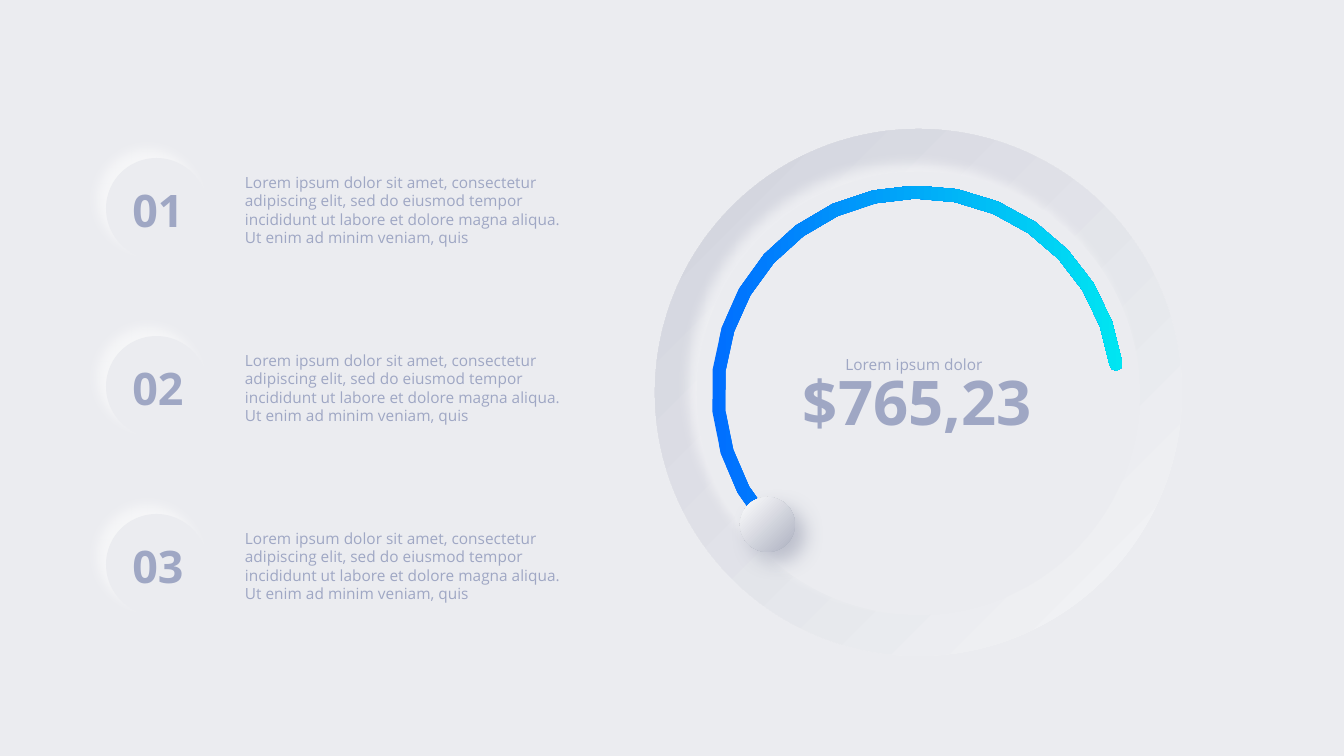
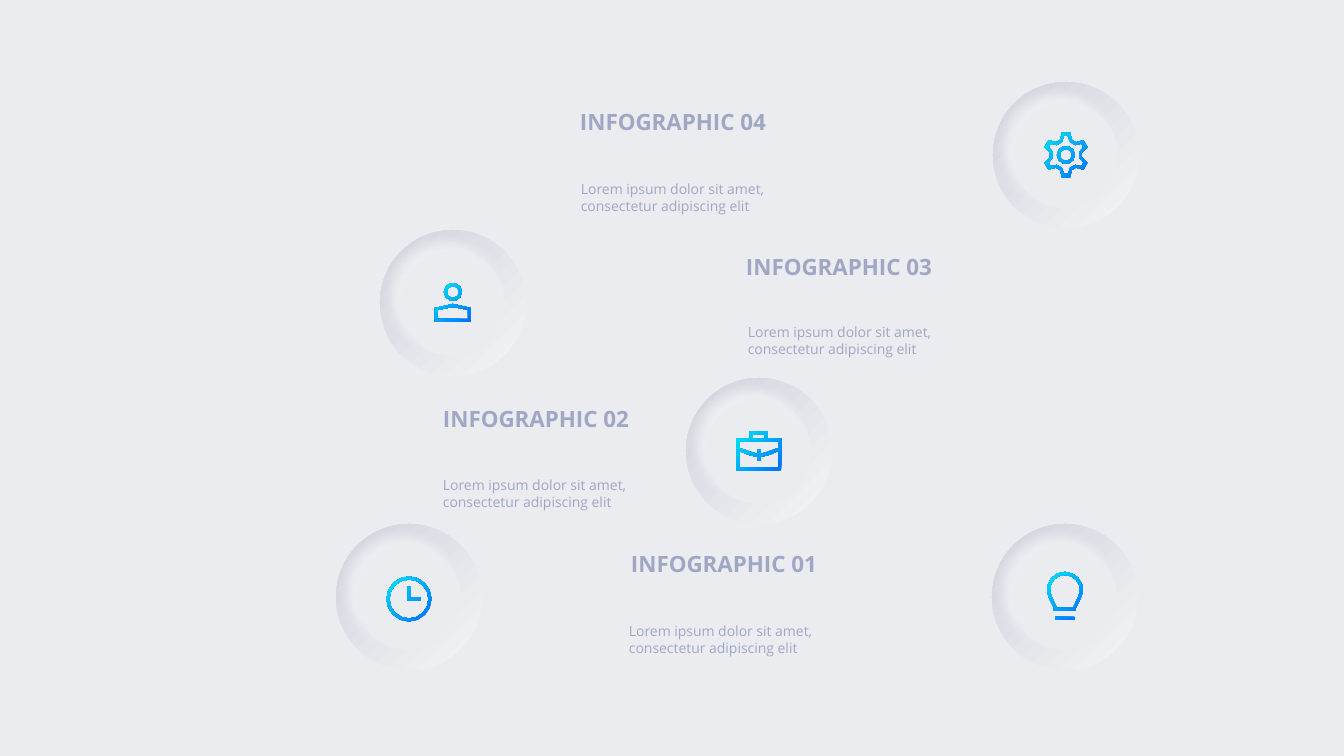
from math import cos, radians, sin

from lxml import etree
from pptx import Presentation
from pptx.dml.color import RGBColor
from pptx.enum.shapes import MSO_SHAPE
from pptx.enum.text import MSO_AUTO_SIZE, PP_ALIGN
from pptx.oxml.ns import qn
from pptx.util import Pt

WIDTH, HEIGHT = 1344, 756
SCALE = 12192000 / WIDTH  # EMU in one px
FINE = 100  # freeform steps in one px

COLORS = {
    "ground": "EBECF0",
    "text": "9FA7C4",
    "light": "F4F5F7",
    "dark": "D0D2DC",
    "white": "FFFFFF",
    "steel": "ACB0C0",
    "blue": "006EFF",
    "cyan": "00E6F2",
}
# Shadow values: colour, opacity in percent, blur and distance in points, direction
GLOW = ("white", 56, 9, 9, 225)
DROP = ("steel", 72, 14, 10, 45)

FORMATS = {
    "amount": {"size": Pt(44), "bold": True},
    "number": {"size": Pt(32), "bold": True},
    "heading": {"size": Pt(16), "bold": True},
    "body": {"size": Pt(11), "bold": False},
    "small": {"size": Pt(10), "bold": False},
}

LONG_TEXT = (
    "Lorem ipsum dolor sit amet, consectetur adipiscing elit, sed do eiusmod tempor "
    "incididunt ut labore et dolore magna aliqua. Ut enim ad minim veniam, quis"
)
SHORT_TEXT = "Lorem ipsum dolor sit amet, consectetur adipiscing elit"


def px(value):
    return round(value * SCALE)


def color(name):
    return RGBColor.from_string(COLORS[name])


# ---- Fills, shadows, basic parts ----
def paint(shape, fill, angle=0):
    """Fill with one colour, or with a gradient between two."""
    shape.line.fill.background()
    shape.shadow.inherit = False
    if isinstance(fill, str):
        shape.fill.solid()
        shape.fill.fore_color.rgb = color(fill)
        return
    shape.fill.gradient()
    shape.fill.gradient_angle = angle
    for stop, name, position in zip(shape.fill.gradient_stops, fill, (0, 1)):
        stop.color.rgb = color(name)
        stop.position = position


def cast_shadow(shape, shadow):
    name, opacity, blur, distance, direction = shadow
    effects = shape._element.spPr.find(qn("a:effectLst"))
    outer = etree.SubElement(
        effects, qn("a:outerShdw"), blurRad=str(Pt(blur)), dist=str(Pt(distance)),
        dir=str(direction * 60000), algn="ctr", rotWithShape="0")
    tone = etree.SubElement(outer, qn("a:srgbClr"), val=COLORS[name])
    etree.SubElement(tone, qn("a:alpha"), val=str(opacity * 1000))


def make_radial(shape):
    """Turn a linear gradient into a circular one that starts at the top left."""
    gradient = shape._element.spPr.find(qn("a:gradFill"))
    gradient.remove(gradient.find(qn("a:lin")))
    circle = etree.SubElement(gradient, qn("a:path"), path="circle")
    etree.SubElement(circle, qn("a:fillToRect"), r="100000", b="100000")


def add_disc(page, left, top, size, fill, angle=0, shadow=None):
    disc = page.shapes.add_shape(
        MSO_SHAPE.OVAL, px(left), px(top), px(size), px(size))
    paint(disc, fill, angle)
    if shadow:
        cast_shadow(disc, shadow)
    return disc


def add_dish(page, left, top, size, inset, inner):
    """Sunken round dish: a shaded rim and a flat middle."""
    add_disc(page, left, top, size, ("light", "dark"), 135)
    add_disc(page, left + inset, top + inset + 1, inner, "ground", shadow=GLOW)


def add_text(page, box, text, style, align=PP_ALIGN.LEFT, tight=False):
    """Tight boxes have no insets and do not wrap."""
    text_box = page.shapes.add_textbox(*map(px, box))
    frame = text_box.text_frame
    frame.word_wrap = not tight
    frame.auto_size = MSO_AUTO_SIZE.SHAPE_TO_FIT_TEXT
    if tight:
        for side in ("left", "top", "right", "bottom"):
            setattr(frame, f"margin_{side}", 0)
    para = frame.paragraphs[0]
    para.alignment = align
    span = para.add_run()
    span.text = text
    for key, value in {"name": "Open Sans", **FORMATS[style]}.items():
        setattr(span.font, key, value)
    span.font.color.rgb = color("text")


# ---- Outlines, in px from the centre of their box ----
def arc(x, y, radius, start, end, steps):
    """Points on a circle; degrees run clockwise from the right."""
    turns = [radians(start + (end - start) * i / steps) for i in range(steps + 1)]
    return [(x + radius * cos(turn), y + radius * sin(turn)) for turn in turns]


def ring(x, y, outer, inner, steps):
    """Two closed circles, the second one a hole."""
    return [arc(x, y, radius, 0, 360, steps)[:-1] for radius in (outer, inner)]


def mirror(points):
    """Close a right half with its left half; points on the axis stay single."""
    return points + [(-x, y) for x, y in reversed(points) if x]


def cog(points):
    """Repeat one tooth six times around the centre."""
    turns = [radians(60 * i) for i in range(6)]
    return [(x * cos(t) - y * sin(t), x * sin(t) + y * cos(t))
            for t in turns for x, y in points]


ICONS = {
    "gear": [
        cog([(-6, -15), (-4, -22.5), (4, -22.5), (6, -15)]),
        cog([(-4, -13), (-2, -19), (2, -19), (4, -13)]),
        *ring(0, 0, 9, 6, 10),
    ],
    "person": [
        *ring(0, -11, 9, 6, 10),
        mirror([(0, 1), (18, 5), (18, 19)]),
        mirror([(0, 4), (15, 7), (15, 16)]),
    ],
    "briefcase": [
        mirror([(9, -19.5), (9, -12.5), (22.5, -12.5), (22.5, 19.5)]),
        mirror([(6, -16.5), (6, -12.5)]),
        mirror([(1.5, -1), (1.5, 3), (8, 1), (19.5, -3), (19.5, -9.5)]),
        mirror([(1.5, 10), (1.5, 6), (10, 4), (19.5, 0), (19.5, 16.5)]),
    ],
    "clock": [
        *ring(0, 2, 22.5, 19.5, 16),
        [(-1.5, -10), (1.5, -10), (1.5, 0.5), (11.5, 0.5), (11.5, 3.5), (-1.5, 3.5)],
    ],
    "bulb": [
        arc(0, -7, 18, 150, 390, 10) + mirror([(11, 11), (11, 14)]),
        arc(0, -7, 15, 150, 390, 10) + mirror([(8, 11)]),
        mirror([(9.5, 20), (9.5, 23)]),
    ],
}


def add_outline(page, x, y, contours, fill, angle):
    """One freeform; inner contours cut holes."""
    fine = [[(a * FINE, b * FINE) for a, b in contour] for contour in contours]
    builder = page.shapes.build_freeform(*fine[0][0], scale=SCALE / FINE)
    for index, contour in enumerate(fine):
        if index:
            builder.move_to(*contour[0])
        builder.add_line_segments(contour[1:], close=True)
    shape = builder.convert_to_shape(px(x), px(y))
    paint(shape, fill, angle)


# ---- Regions ----
def add_gauge(page, left, top):
    add_dish(page, left, top, 527, 42, 443)
    x, y = left + 263, top + 263
    start, end, middle, half = 139, 352, 200, 6.5
    tip_x, tip_y = arc(x, y, middle, end, end, 1)[0]
    band = (arc(x, y, middle + half, start, end, 18)
            + arc(tip_x, tip_y, half, end, end + 180, 4)[1:-1]
            + arc(x, y, middle - half, end, start, 18))
    add_outline(page, 0, 0, [band], ("blue", "cyan"), 0)
    knob = add_disc(page, left + 85, top + 368, 55, ("white", "steel"), shadow=DROP)
    make_radial(knob)
    add_text(page, (left + 147, top + 235, 231, 75), "$765,23", "amount",
             PP_ALIGN.CENTER, tight=True)
    add_text(page, (left + 190, top + 226, 138, 19), "Lorem ipsum dolor", "body",
             PP_ALIGN.CENTER, tight=True)


def add_numbered_item(page, left, top, number):
    add_disc(page, left, top, 101, "ground", shadow=GLOW)
    add_text(page, (left + 11, top + 20, 82, 64), f"{number:02}", "number",
             PP_ALIGN.CENTER)
    add_text(page, (left + 129, top + 10, 348, 85), LONG_TEXT, "body")


def add_icon_button(page, left, top, icon):
    size = 146
    add_dish(page, left, top, size, 20, 105)
    add_outline(page, left + size / 2, top + size / 2, ICONS[icon],
                ("blue", "cyan"), 135)


def add_caption(page, left, top, number, shift, drop):
    add_text(page, (left, top, 188, 27), f"INFOGRAPHIC {number:02}", "heading",
             PP_ALIGN.CENTER, tight=True)
    add_text(page, (left + shift, top + drop, 207, 44), SHORT_TEXT, "small")


# ---- Slides ----
def build_gauge_slide(page):
    add_gauge(page, 655, 129)
    for index in range(3):
        add_numbered_item(page, 106, 158 + index * 178, index + 1)


def build_icon_slide(page):
    captions = [
        (579, 108, 4, -8, 68),
        (745, 253, 3, -7, 66),
        (442, 405, 2, -9, 67),
        (630, 550, 1, -11, 68),
    ]
    buttons = [
        (992, 524, "bulb"),
        (336, 524, "clock"),
        (686, 378, "briefcase"),
        (380, 230, "person"),
        (993, 82, "gear"),
    ]
    for caption in captions:
        add_caption(page, *caption)
    for button in buttons:
        add_icon_button(page, *button)


def main():
    deck = Presentation()
    deck.slide_width, deck.slide_height = px(WIDTH), px(HEIGHT)
    ground = deck.slide_master.background.fill
    ground.solid()
    ground.fore_color.rgb = color("ground")
    blank = deck.slide_layouts[6]
    for build in (build_gauge_slide, build_icon_slide):
        build(deck.slides.add_slide(blank))
    deck.save("out.pptx")


if __name__ == "__main__":
    main()
